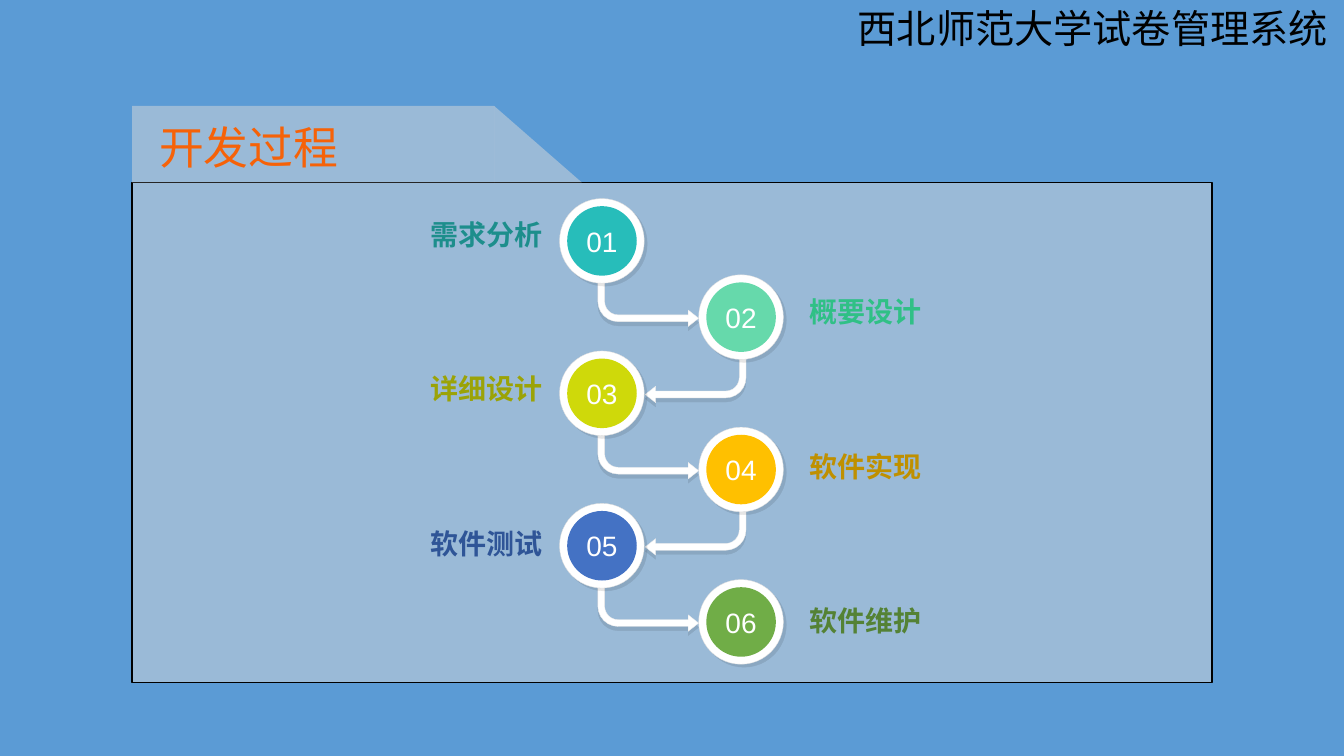
from lxml import etree
from pptx import Presentation
from pptx.dml.color import RGBColor
from pptx.enum.shapes import MSO_SHAPE
from pptx.enum.text import MSO_ANCHOR, PP_ALIGN
from pptx.oxml.ns import qn
from pptx.util import Inches, Pt

RECTANGLE = MSO_SHAPE.RECTANGLE
RIGHT_TRIANGLE = MSO_SHAPE.RIGHT_TRIANGLE
ELLIPSE = MSO_SHAPE.OVAL
BENT_ARROW = MSO_SHAPE.BENT_ARROW
LEFT, CENTER, RIGHT = PP_ALIGN.LEFT, PP_ALIGN.CENTER, PP_ALIGN.RIGHT
TOP, MIDDLE, BOTTOM = MSO_ANCHOR.TOP, MSO_ANCHOR.MIDDLE, MSO_ANCHOR.BOTTOM

LATIN_FONT = "Arial"
CHINESE_FONT = "Noto Sans CJK SC"
COLORS = {
    "background": "5B9BD5",
    "panel": "D9D9D9",
    "black": "000000",
    "white": "FFFFFF",
    "title": "F66208",
    "arrow line": "EAEAEA",
    "ring line": "DDDDDD",
}

STEPS = [
    ("需求分析", "27BDBA", "1D8E8C"),
    ("概要设计", "66D9AB", "30C086"),
    ("详细设计", "CFD90A", "9BA307"),
    ("软件实现", "FFC000", "BF9000"),
    ("软件测试", "4472C4", "2F5597"),
    ("软件维护", "70AD47", "548235"),
]
FIRST_RING_TOP = 1.97
RING_PITCH = (5.75 - FIRST_RING_TOP) / (len(STEPS) - 1)
FIRST_LABEL_TOP = 2.05
LABEL_PITCH = (5.88 - FIRST_LABEL_TOP) / (len(STEPS) - 1)
RING_SIZE = 0.84
DISC_SIZE = 0.69
ARROW_DROP = 0.81


class SlideBuilder:
    def __init__(self, slide):
        self.slide = slide
        self.colors = COLORS

    def color(self, name):
        return RGBColor.from_string(self.colors.get(name, name))

    def background(self, color):
        fill = self.slide.background.fill
        fill.solid()
        fill.fore_color.rgb = self.color(color)

    def shape(self, kind, box, fill, line=None, line_width=0.25, opacity=None):
        shape = self.slide.shapes.add_shape(kind, *map(Inches, box))
        shape.shadow.inherit = False
        shape.fill.solid()
        shape.fill.fore_color.rgb = self.color(fill)
        if opacity is not None:
            color = shape._element.spPr.find(qn("a:solidFill"))[0]
            etree.SubElement(color, qn("a:alpha"), val=str(opacity * 1000))
        if line:
            shape.line.color.rgb = self.color(line)
            shape.line.width = Pt(line_width)
        else:
            shape.line.fill.background()
        return shape

    def shadow(self, shape, angle):
        effects = shape._element.spPr.find(qn("a:effectLst"))
        shadow = etree.SubElement(
            effects, qn("a:outerShdw"), blurRad="0", dist=str(Pt(3)),
            dir=str(angle * 60000), algn="ctr", rotWithShape="0")
        color = etree.SubElement(shadow, qn("a:srgbClr"), val=self.colors["black"])
        etree.SubElement(color, qn("a:alpha"), val="10000")

    def set_text(self, shape, text, size, color, font, align=LEFT, anchor=TOP, bold=False):
        frame = shape.text_frame
        frame.word_wrap = True
        frame.vertical_anchor = anchor
        frame.text = text
        paragraph = frame.paragraphs[0]
        paragraph.alignment = align
        run = paragraph.runs[0]
        run.font.size = Pt(size)
        run.font.bold = bold
        run.font.name = font
        run.font.color.rgb = self.color(color)
        etree.SubElement(run._r.get_or_add_rPr(), qn("a:ea"), typeface=font)

    def text(self, box, text, size, color, font, **style):
        shape = self.slide.shapes.add_textbox(*map(Inches, box))
        self.set_text(shape, text, size, color, font, **style)

    def arrow(self, left, top, to_left):
        shape = self.shape(BENT_ARROW, (left, top, 1, 0.46), "white", "arrow line")
        for index, value in enumerate((0.146, 0.178, 0.226, 0.438)):
            shape.adjustments[index] = value
        frame = shape._element.spPr.find(qn("a:xfrm"))
        frame.set("flipV", "1")
        if to_left:
            frame.set("flipH", "1")
        self.shadow(shape, 90)

    def badge(self, left, top, number, fill):
        ring = self.shape(ELLIPSE, (left, top, RING_SIZE, RING_SIZE), "white", "ring line")
        self.shadow(ring, 45)
        inset = (RING_SIZE - DISC_SIZE) / 2
        disc = self.shape(ELLIPSE, (left + inset, top + inset, DISC_SIZE, DISC_SIZE), fill)
        frame = disc.text_frame
        frame.margin_left = frame.margin_right = 0
        frame.margin_top = frame.margin_bottom = 0
        self.set_text(disc, number, 20, "white", LATIN_FONT, align=CENTER, anchor=MIDDLE)


def main():
    presentation = Presentation()
    presentation.slide_width = Inches(13.33)
    presentation.slide_height = Inches(7.5)
    slide = presentation.slides.add_slide(presentation.slide_layouts[6])
    builder = SlideBuilder(slide)

    builder.background("background")
    builder.shape(RECTANGLE, (1.31, 1.81, 10.71, 4.96), "panel", "black", 1, opacity=50)
    builder.shape(RECTANGLE, (1.31, 1.05, 3.59, 0.76), "panel", opacity=50)
    builder.shape(RIGHT_TRIANGLE, (4.9, 1.05, 0.87, 0.76), "panel", opacity=50)
    builder.text((8.41, -0.01, 4.97, 0.57), "西北师范大学试卷管理系统", 28, "black", CHINESE_FONT)
    builder.text((1.48, 1.14, 3.34, 0.64), "开发过程", 32, "title", LATIN_FONT)

    for index in range(len(STEPS) - 1):
        to_left = index % 2 == 1
        top = FIRST_RING_TOP + index * RING_PITCH + ARROW_DROP
        builder.arrow(6.4 if to_left else 5.93, top, to_left)

    for index, (label, fill, label_color) in enumerate(STEPS):
        on_right = index % 2 == 1
        ring_left, label_left, align = (6.93, 7.93, LEFT) if on_right else (5.55, 2.55, RIGHT)
        builder.badge(ring_left, FIRST_RING_TOP + index * RING_PITCH, f"{index + 1:02d}", fill)
        builder.text((label_left, FIRST_LABEL_TOP + index * LABEL_PITCH, 2.93, 0.49), label,
                     20, label_color, CHINESE_FONT, align=align, anchor=BOTTOM, bold=True)

    presentation.save("out.pptx")


if __name__ == "__main__":
    main()
